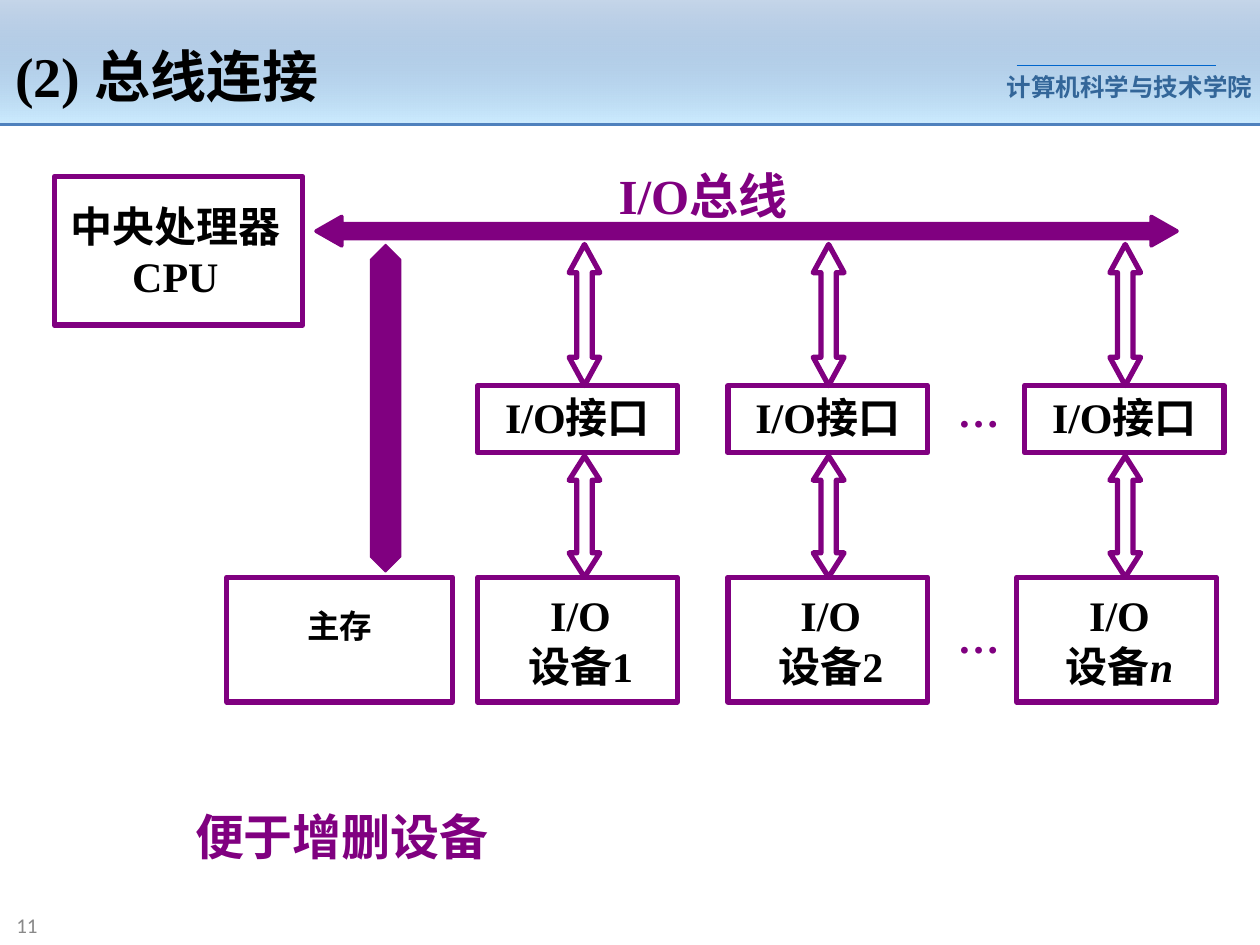
from lxml import etree
from pptx import Presentation
from pptx.dml.color import RGBColor
from pptx.enum import shapes as kinds, text as t
from pptx.oxml import ns
from pptx.util import Pt

COLORS = {"purple": "800080", "black": "000000", "gray": "898989", "school": "336699",
          "rule": "0066CC", "band_top": "4F81BD", "band_bottom": "CCECFF"}
LATIN, CJK = "Times New Roman", "Noto Sans CJK SC"
TITLE = "(2) 总线连接"

# Text boxes: text, (left, top, width, height), size, color, font, bold, insets
LABELS = [
    ("计算机科学与技术学院", (575.3, 37.4, 142, 24.5), 14, "school", "Arial", True, (0, 3.6)),
    ("I/O总线", (353.5, 94.3, 155.5, 34), 28, "purple", LATIN, True, (0, 0)),
    ("…", (547.2, 220.3, 29, 29), 24, "purple", LATIN, True, (0, 0)),
    ("…", (547.2, 349.2, 29, 29), 24, "purple", LATIN, True, (0, 0)),
    ("便于增删设备", (104.4, 457.2, 474, 41), 28, "purple", LATIN, True, (7.2, 3.6)),
    ("11", (2.2, 521.5, 159, 15), 12, "gray", "Calibri", False, (7.2, 0)),
]
# I/O columns: device number, interface left, device left, arrow center
COLUMNS = [("1", 273, 273, 334), ("2", 416, 416, 473.5), ("n", 585.5, 581, 643)]
BOX_WIDTH = 114
BUS_Y, INTERFACE_Y, INTERFACE_END, DEVICE_Y = 139.7, 220.3, 260.6, 329.8
INTERFACE_HEIGHT, DEVICE_HEIGHT = 38.5, 71.3

presentation = Presentation()
presentation.slide_width, presentation.slide_height = Pt(720), Pt(540)
slide = presentation.slides.add_slide(presentation.slide_layouts[5])


def rgb(name):
    return RGBColor.from_string(COLORS[name])


def write(shape, content, size, color="black", font=LATIN, bold=True,
          insets=(7.2, 3.6, 7.2, 3.6), align=t.PP_ALIGN.LEFT, anchor=t.MSO_ANCHOR.TOP):
    frame = shape.text_frame
    frame.text = content
    frame.word_wrap = True
    frame.auto_size = t.MSO_AUTO_SIZE.NONE
    frame.vertical_anchor = anchor
    (frame.margin_left, frame.margin_top,
     frame.margin_right, frame.margin_bottom) = [Pt(inset) for inset in insets]
    for paragraph in frame.paragraphs:
        paragraph.alignment = align
        for run in paragraph.runs:
            style(run, size, color, font, bold)
    return frame


def style(run, size, color, font, bold):
    run.font.size, run.font.bold, run.font.name = Pt(size), bold, font
    run.font.color.rgb = rgb(color)
    properties = run._r.get_or_add_rPr()
    etree.SubElement(properties, ns.qn("a:ea")).set("typeface", CJK)


def add_shape(kind, left, top, width, height):
    shape = slide.shapes.add_shape(kind, Pt(left), Pt(top), Pt(width), Pt(height))
    shape.shadow.inherit = False
    return shape


def outline(shape, width=3):
    shape.line.color.rgb = rgb("purple")
    shape.line.width = Pt(width)


def add_box(left, top, width, height, content, size=24, **options):
    box = add_shape(kinds.MSO_SHAPE.RECTANGLE, left, top, width, height)
    box.fill.background()
    outline(box)
    return write(box, content, size, align=t.PP_ALIGN.CENTER, **options)


def add_rule(left, right, y, color, width):
    line = slide.shapes.add_connector(
        kinds.MSO_CONNECTOR.STRAIGHT, Pt(left), Pt(y), Pt(right), Pt(y))
    line.line.color.rgb = rgb(color)
    line.line.width = Pt(width)
    etree.SubElement(line._element.spPr, ns.qn("a:effectLst"))


def add_solid_arrow(kind, place, head, line_width):
    arrow = add_shape(kind, *place)
    arrow.adjustments[0], arrow.adjustments[1] = 0.5, head
    arrow.fill.solid()
    arrow.fill.fore_color.rgb = rgb("purple")
    outline(arrow, line_width)


def add_hollow_arrow(center, top, bottom, half=8.8):
    head, shaft = (bottom - top) / 5, half / 2
    right = [(half, top + head), (shaft, top + head),
             (shaft, bottom - head), (half, bottom - head)]
    left = [(-x, y) for x, y in reversed(right)]
    points = [(Pt(center + x), Pt(y)) for x, y in right + [(0, bottom)] + left]
    builder = slide.shapes.build_freeform(Pt(center), Pt(top))
    builder.add_line_segments(points, close=True)
    arrow = builder.convert_to_shape()
    arrow.shadow.inherit = False
    arrow.fill.background()
    outline(arrow)


# Header band and rules
band = add_shape(kinds.MSO_SHAPE.RECTANGLE, 0, 0, 720, 71.3)
band.line.fill.background()
band.fill.gradient()
band.fill.gradient_angle = 270
for stop, name in zip(band.fill.gradient_stops, ("band_top", "band_bottom")):
    stop.color.rgb = rgb(name)
first_color = band._element.spPr.findall(".//" + ns.qn("a:srgbClr"))[0]
etree.SubElement(first_color, ns.qn("a:alpha")).set("val", "32000")
add_rule(581, 694.8, 37.4, "rule", 0.75)
add_rule(0, 720, 71.3, "band_top", 1.5)

# Title, brought in front of the band
title = slide.shapes.title
title.left, title.top, title.width, title.height = Pt(1.4), Pt(20.2), Pt(282), Pt(46)
write(title, TITLE, 32)
slide.shapes._spTree.append(title._element)

# Processor, memory and the two solid arrows
add_box(31, 100.8, 142, 85, "中央处理器\nCPU",
        insets=(0, 3.6, 3.6, 3.6), anchor=t.MSO_ANCHOR.MIDDLE)
memory = add_box(129.6, DEVICE_Y, 129, DEVICE_HEIGHT, "主存", 18.6,
                 insets=(7.2, 21, 7.2, 3.6))
memory.paragraphs[0].line_spacing = 0.8
add_solid_arrow(kinds.MSO_SHAPE.LEFT_RIGHT_ARROW, (180.7, 123.8, 491.8, 16.6), 0.88, 2.25)
add_solid_arrow(kinds.MSO_SHAPE.UP_DOWN_ARROW, (211.7, BUS_Y, 17.3, 187.2), 1.25, 0.75)

# Interface and device columns
for number, interface_left, device_left, center in COLUMNS:
    add_hollow_arrow(center, BUS_Y, INTERFACE_Y)
    add_hollow_arrow(center, INTERFACE_END, DEVICE_Y)
    add_box(interface_left, INTERFACE_Y, BOX_WIDTH, INTERFACE_HEIGHT, "I/O接口")
    device = add_box(device_left, DEVICE_Y, BOX_WIDTH, DEVICE_HEIGHT, "I/O\n设备",
                     insets=(7.2, 7.2, 3.6, 0))
    run = device.paragraphs[1].add_run()
    run.text = number
    style(run, 24, "black", LATIN, True)
    if number.isalpha():
        run.font.italic = True

# Labels
for content, place, size, color, font, bold, (side, edge) in LABELS:
    label = slide.shapes.add_textbox(*[Pt(length) for length in place])
    write(label, content, size, color, font, bold, (side, edge, side, edge))

presentation.save("out.pptx")
